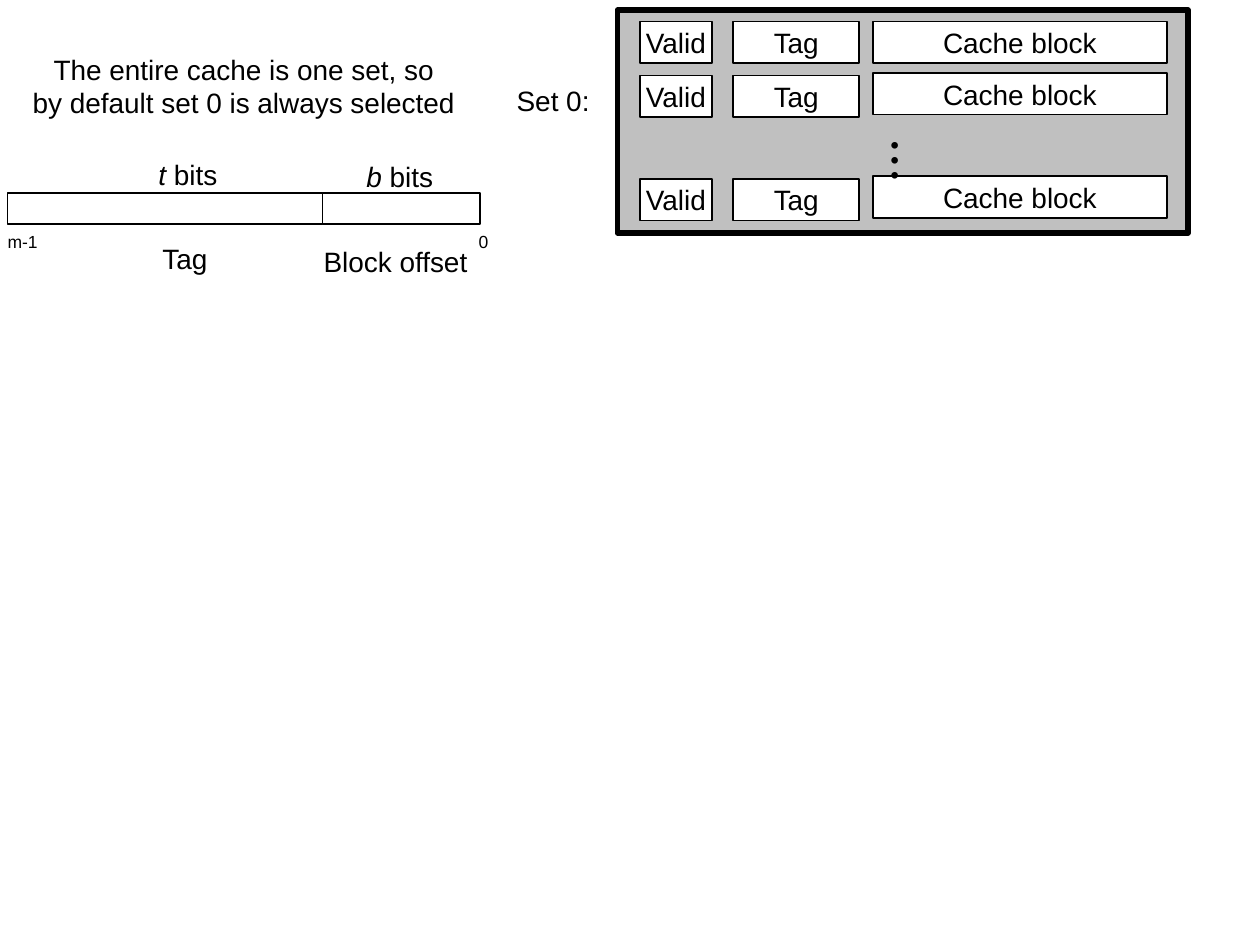
"""Build a slide showing set selection in a fully associative cache."""
from pptx import Presentation
from pptx.dml.color import RGBColor
from pptx.enum.shapes import MSO_SHAPE
from pptx.enum.text import MSO_ANCHOR, MSO_AUTO_SIZE, PP_ALIGN
from pptx.util import Inches, Pt

BLACK = RGBColor(0x00, 0x00, 0x00)
WHITE = RGBColor(0xFF, 0xFF, 0xFF)
GRAY = RGBColor(0xC0, 0xC0, 0xC0)
RECT = MSO_SHAPE.RECTANGLE
LEFT, CENTER = PP_ALIGN.LEFT, PP_ALIGN.CENTER
TOP, MIDDLE = MSO_ANCHOR.TOP, MSO_ANCHOR.MIDDLE
FIT = MSO_AUTO_SIZE.SHAPE_TO_FIT_TEXT
COLS, ROWS = 100, 75


class CacheSlide:
    """Hold the style and the slide, placing elements on a grid of COLS by ROWS."""

    font = "Arial"
    size = 16

    def __init__(self, prs):
        self.s = prs.slides.add_slide(prs.slide_layouts[6])
        self.col = prs.slide_width / COLS
        self.row = prs.slide_height / ROWS

    def place(self, x, y, w, h):
        """Turn columns and rows into lengths."""
        return [round(n) for n in (x * self.col, y * self.row, w * self.col, h * self.row)]

    def set_text(self, sp, lines, size, align, anchor):
        """Fill a shape with lines, each a list of (text, italic) runs."""
        tf = sp.text_frame
        tf.word_wrap = False
        tf.vertical_anchor = anchor
        for i, runs in enumerate(lines):
            p = tf.add_paragraph() if i else tf.paragraphs[0]
            p.alignment = align
            p.font.name = self.font
            p.font.size = Pt(size)
            p.font.color.rgb = BLACK
            for text, italic in runs:
                r = p.add_run()
                r.text = text
                if italic:
                    r.font.italic = True

    def box(self, x, y, w, h, text="", fill=None, line=1):
        """Add an outlined rectangle with an optional centred label."""
        sp = self.s.shapes.add_shape(RECT, *self.place(x, y, w, h))
        sp.shadow.inherit = False
        if fill is None:
            sp.fill.background()
        else:
            sp.fill.solid()
            sp.fill.fore_color.rgb = fill
        sp.line.color.rgb = BLACK
        sp.line.width = Pt(line)
        if text:
            self.set_text(sp, [[(text, False)]], self.size, CENTER, MIDDLE)

    def label(self, x, y, w, h, *lines, size=size, align=CENTER, anchor=MIDDLE):
        """Add free text sized to its content."""
        sp = self.s.shapes.add_textbox(*self.place(x, y, w, h))
        self.set_text(sp, lines, size, align, anchor)
        sp.text_frame.auto_size = FIT

    def dots(self, x, y, w, h):
        """Add a vertical ellipsis."""
        sp = self.s.shapes.add_textbox(*self.place(x, y, w, h))
        self.set_text(sp, [[("• • •", False)]], 14, CENTER, MIDDLE)
        tf = sp.text_frame
        tf.margin_left = tf.margin_right = Inches(0.05)
        tf.margin_top = tf.margin_bottom = Inches(0.1)
        sp.element.txBody.bodyPr.set("vert", "eaVert")


def main():
    """Draw the cache set and the address fields."""
    prs = Presentation()
    prs.slide_width, prs.slide_height = Inches(10), Inches(7.5)
    slide = CacheSlide(prs)

    slide.box(49, 0.8, 45.3, 17.7, fill=GRAY, line=3)
    fields = [
        ("Valid", 50.8, 5.7, (1.7, 6, 14.2)),
        ("Tag", 58.2, 10, (1.7, 6, 14.2)),
        ("Cache block", 69.3, 23.3, (1.7, 5.8, 14)),
    ]
    for text, x, w, tops in fields:
        for y in tops:
            slide.box(x, y, w, 3.3, text, fill=WHITE)
    slide.dots(67.4, 10.2, 7.5, 3.3)

    for x, w in ((0.6, 25), (25.6, 12.5)):
        slide.box(x, 15.3, w, 2.5)
    field_labels = [
        (11.6, 12, 6.7, [("t", True), (" bits", False)]),
        (28.1, 12.2, 7.3, [("b ", True), ("bits", False)]),
        (11.9, 18.7, 5.8, [("Tag", False)]),
        (24.7, 18.9, 13.4, [("Block offset", False)]),
    ]
    for x, y, w, runs in field_labels:
        slide.label(x, y, w, 3.6, runs, align=LEFT, anchor=TOP)
    for x, w, text in ((37, 2.7, "0"), (-0.4, 4.4, "m-1")):
        slide.label(x, 17.8, w, 2.7, [(text, False)], size=10)

    slide.label(40, 6.1, 7.8, 3.7, [("Set 0:", False)])
    slide.label(1.6, 3.6, 35.5, 6.4,
                [("The entire cache is one set, so", False)],
                [("by default set 0 is always selected", False)])
    prs.save("out.pptx")


if __name__ == "__main__":
    main()
